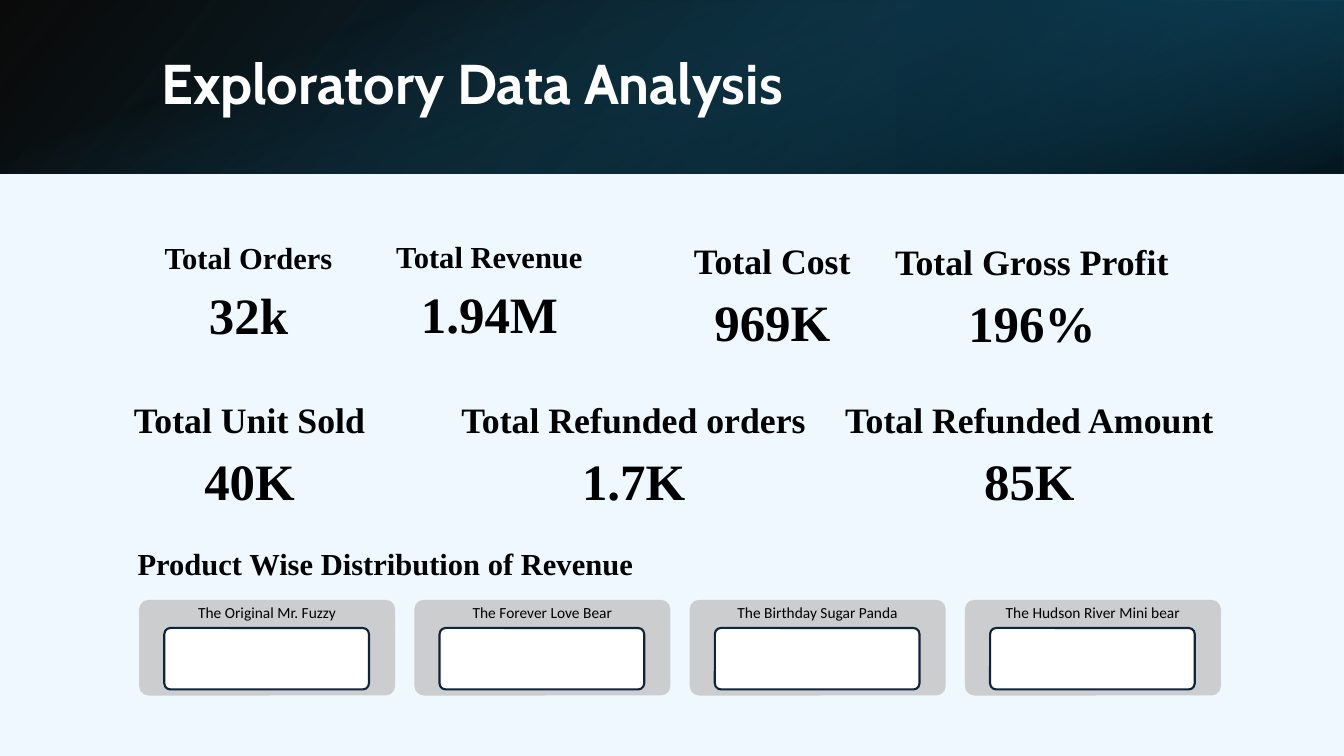
from dataclasses import dataclass

from lxml import etree
from pptx import Presentation
from pptx.dml.color import RGBColor
from pptx.enum.shapes import MSO_SHAPE as Shape
from pptx.enum.text import MSO_ANCHOR as Anchor, MSO_AUTO_SIZE as AutoSize, PP_ALIGN as Align
from pptx.oxml.ns import qn
from pptx.util import Inches, Pt


@dataclass(frozen=True)
class Theme:
    background: str = "EFF8FF"
    ink: str = "000000"
    white: str = "FFFFFF"
    card: str = "CCCDCF"
    outline: str = "0D243B"
    deep_blue: str = "0B3041"
    teal: str = "156082"
    petrol: str = "104862"
    title_font: str = "Cabin"
    figure_font: str = "Times New Roman"
    label_font: str = "Calibri"
    title_size: float = 40
    value_size: float = 36.4
    heading_size: float = 25.5
    small_heading_size: float = 21.8
    label_size: float = 11


class SlideBuilder:
    def __init__(self, page, theme):
        self.page = page
        self.theme = theme
        page.background.fill.solid()
        page.background.fill.fore_color.rgb = RGBColor.from_string(theme.background)

    def style(self, para, font, size, color, bold=False):
        para.font.name = font
        para.font.size = Pt(size)
        para.font.bold = bold
        para.font.color.rgb = RGBColor.from_string(color)

    def title(self, text, *place):
        title = self.page.shapes.title
        title.left, title.top, title.width, title.height = map(Inches, place)
        frame = title.text_frame
        frame.text = text
        frame.auto_size = AutoSize.NONE
        frame.vertical_anchor = Anchor.MIDDLE
        para = frame.paragraphs[0]
        para.alignment = Align.LEFT
        para.line_spacing = 0.9
        para.space_after = Pt(6)
        self.style(para, self.theme.title_font, self.theme.title_size, self.theme.white, True)
        # Bring the title in front of the header bands
        self.page.shapes._spTree.append(title._element)

    def gradient_band(self, place, stops, angle, rotation=0, flipped=False):
        """Each stop is (position %, colour, opacity %); the angle is clockwise."""
        band = self.page.shapes.add_shape(Shape.RECTANGLE, *map(Inches, place))
        band.rotation = rotation
        band.shadow.inherit = False
        band.line.fill.background()
        band.fill.gradient()
        gradient = band._element.spPr.find(qn("a:gradFill"))
        stop_list = gradient.find(qn("a:gsLst"))
        for old_stop in list(stop_list):
            stop_list.remove(old_stop)
        for position, color, opacity in stops:
            stop = etree.SubElement(stop_list, qn("a:gs"), pos=str(position * 1000))
            shade = etree.SubElement(stop, qn("a:srgbClr"), val=color)
            etree.SubElement(shade, qn("a:alpha"), val=str(opacity * 1000))
        direction = gradient.find(qn("a:lin"))
        direction.set("ang", str(angle * 60000))
        direction.set("scaled", "0")
        if flipped:
            band._element.spPr.find(qn("a:xfrm")).set("flipH", "1")

    def rounded_box(self, parent, place, fill, outline=None):
        box = parent.shapes.add_shape(Shape.ROUNDED_RECTANGLE, *map(Inches, place))
        box.adjustments[0] = 0.1
        box.shadow.inherit = False
        box.fill.solid()
        box.fill.fore_color.rgb = RGBColor.from_string(fill)
        if outline:
            box.line.color.rgb = RGBColor.from_string(outline)
            box.line.width = Pt(1.5)
        else:
            box.line.fill.background()

    def heading(self, place, lines):
        """Centred bold lines, each given as (text, size)."""
        frame = self.page.shapes.add_textbox(*map(Inches, place)).text_frame
        frame.word_wrap = True
        frame.auto_size = AutoSize.SHAPE_TO_FIT_TEXT
        for index, (text, size) in enumerate(lines):
            para = frame.add_paragraph() if index else frame.paragraphs[0]
            para.text = text
            para.alignment = Align.CENTER
            para.space_after = Pt(6)
            self.style(para, self.theme.figure_font, size, self.theme.ink, True)

    def label(self, parent, place, text):
        frame = parent.shapes.add_textbox(*map(Inches, place)).text_frame
        frame.word_wrap = True
        frame.vertical_anchor = Anchor.MIDDLE
        frame.margin_left = frame.margin_right = Inches(0.05)
        frame.margin_top = frame.margin_bottom = Inches(0.05)
        para = frame.paragraphs[0]
        para.text = text
        para.alignment = Align.CENTER
        para.line_spacing = 0.9
        para.space_after = Pt(3.85)
        self.style(para, self.theme.label_font, self.theme.label_size, self.theme.ink)

    def product_cards(self, names, left, top, step):
        group = self.page.shapes.add_group_shape()
        for index, name in enumerate(names):
            x = left + index * step
            self.rounded_box(group, (x, top, 2.54, 0.95), self.theme.card)
            self.label(group, (x, top, 2.54, 0.28), name)
            self.rounded_box(group, (x + 0.25, top + 0.28, 2.03, 0.61),
                             self.theme.white, self.theme.outline)


def main():
    theme = Theme()
    deck = Presentation()
    deck.slide_width, deck.slide_height = Inches(13.33), Inches(7.5)
    builder = SlideBuilder(deck.slides.add_slide(deck.slide_layouts[5]), theme)

    # Header
    builder.gradient_band((0, 0, 13.33, 1.72),
                          [(0, theme.ink, 96), (100, theme.petrol, 100)], 140, flipped=True)
    builder.gradient_band((8.89, 0, 4.44, 1.72),
                          [(19, theme.deep_blue, 68), (100, theme.teal, 79)], 320, 180, True)
    builder.gradient_band((5.8, -5.8, 1.72, 13.33),
                          [(23, theme.teal, 0), (99, theme.ink, 74)], 340, 90)
    builder.title("Exploratory Data Analysis", 1.5, 0.38, 10.98, 0.96)

    # Key figures
    small, large = theme.small_heading_size, theme.heading_size
    figures = [
        ("Total Revenue", "1.94M", small, (3.54, 2.31, 2.63, 1.17)),
        ("Total Orders", "32k", small, (1.47, 2.32, 1.99, 1.17)),
        ("Total Cost", "969K", large, (6.75, 2.32, 1.82, 1.23)),
        ("Total Gross Profit", "196%", large, (8.58, 2.33, 3.31, 1.23)),
        ("Total Unit Sold", "40K", large, (1.17, 3.9, 2.61, 1.23)),
        ("Total Refunded orders", "1.7K", large, (4.38, 3.9, 3.81, 1.23)),
        ("Total Refunded Amount", "85K", large, (8.23, 3.9, 3.96, 1.23)),
    ]
    for name, value, size, place in figures:
        builder.heading(place, [(name, size), (value, theme.value_size)])

    # Revenue by product
    builder.heading((1.17, 5.36, 5.31, 0.47), [("Product Wise Distribution of Revenue", small)])
    products = ["The Original Mr. Fuzzy", "The Forever Love Bear",
                "The Birthday Sugar Panda", "The Hudson River Mini bear"]
    builder.product_cards(products, 1.38, 5.95, 2.73)

    deck.save("out.pptx")


if __name__ == "__main__":
    main()
